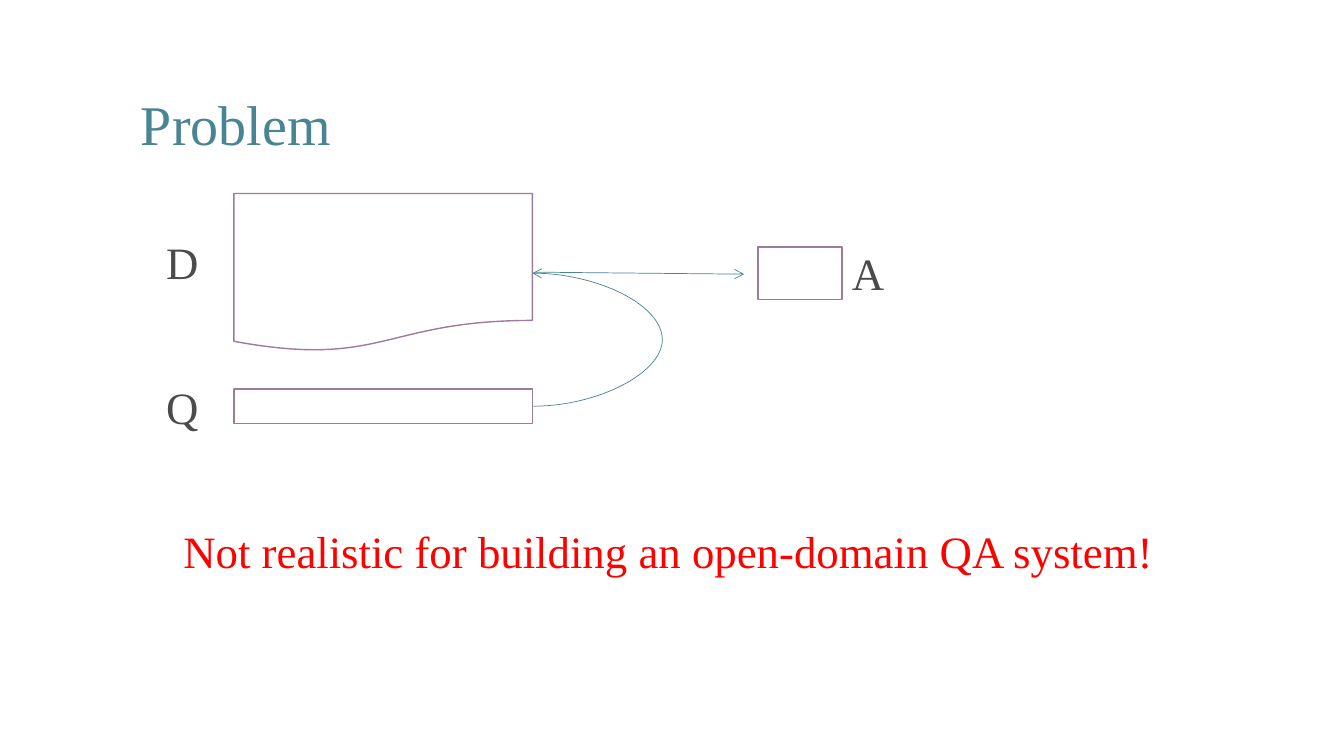
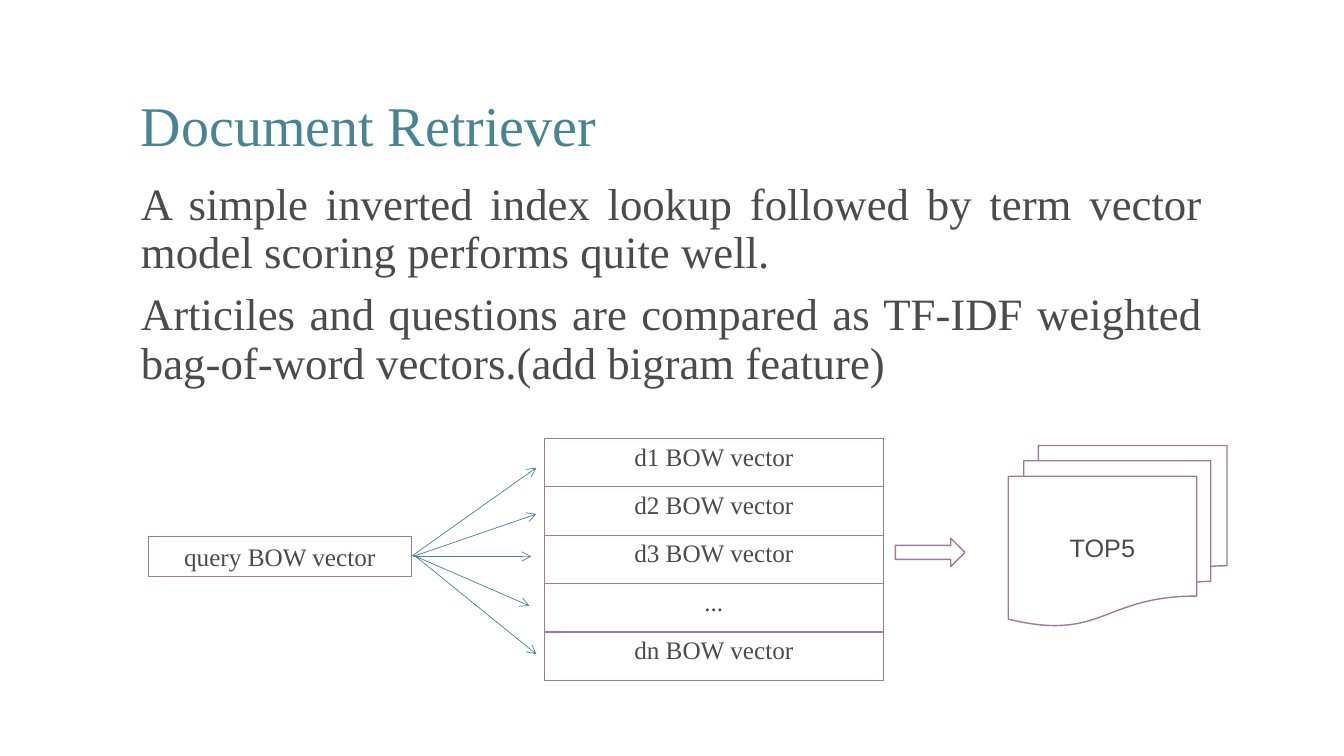
from lxml import etree
from pptx import Presentation
from pptx.dml.color import RGBColor
from pptx.enum.shapes import MSO_CONNECTOR, MSO_SHAPE
from pptx.enum.text import MSO_ANCHOR, PP_ALIGN
from pptx.oxml.ns import qn
from pptx.util import Pt

PX = 9144
TEAL, PURPLE, GREY, RED, WHITE = "488493", "9E7A9B", "4B4B4B", "FF0000", "FFFFFF"
SERIF, SANS = "Times New Roman", "Arial"
LEFT, CENTER, JUSTIFY = PP_ALIGN.LEFT, PP_ALIGN.CENTER, PP_ALIGN.JUSTIFY
TOP, MIDDLE = MSO_ANCHOR.TOP, MSO_ANCHOR.MIDDLE
STRAIGHT, CURVE = MSO_CONNECTOR.STRAIGHT, MSO_CONNECTOR.CURVE
DOCUMENT, DOCUMENTS = MSO_SHAPE.FLOWCHART_DOCUMENT, MSO_SHAPE.FLOWCHART_MULTIDOCUMENT
PROCESS, RECTANGLE, ARROW = MSO_SHAPE.FLOWCHART_PROCESS, MSO_SHAPE.RECTANGLE, MSO_SHAPE.RIGHT_ARROW

TITLE = {"size": 40, "color": TEAL, "anchor": MIDDLE, "line_spacing": 0.9}
BODY = {"size": 32, "alignment": JUSTIFY, "line_spacing": 0.9, "space_before": Pt(10)}
LABEL = {"size": 32}
WARNING = {"size": 32, "color": RED}
CELL = {"size": 18, "alignment": CENTER}
BOX = {"size": 18, "alignment": CENTER, "anchor": MIDDLE}
STACK = {**BOX, "name": SANS}


def color(value):
    return RGBColor.from_string(value)


def write(frame, lines, style):
    frame.word_wrap = True
    frame.vertical_anchor = style.get("anchor", TOP)
    for index, line in enumerate(lines):
        para = frame.add_paragraph() if index else frame.paragraphs[0]
        para.alignment = style.get("alignment", LEFT)
        if "line_spacing" in style:
            para.line_spacing = style["line_spacing"]
        if index and "space_before" in style:
            para.space_before = style["space_before"]
        span = para.add_run()
        span.text = line
        for key, value in {"name": style.get("name", SERIF), "size": Pt(style["size"])}.items():
            setattr(span.font, key, value)
        span.font.color.rgb = color(style.get("color", GREY))


deck = Presentation()
deck.slide_width, deck.slide_height = 1333 * PX, 750 * PX
problem, retriever = [deck.slides.add_slide(deck.slide_layouts[6]) for _ in range(2)]

texts = [
    (problem, (130, 77, 1073, 98), ["Problem"], TITLE),
    (retriever, (130, 78, 1073, 98), ["Document Retriever"], TITLE),
    (problem, (155, 228, 60, 63), ["D"], LABEL),
    (problem, (155, 372, 60, 63), ["Q"], LABEL),
    (problem, (835, 239, 60, 63), ["A"], LABEL),
    (problem, (172, 515, 990, 63), ["Not realistic for building an open-domain QA system!"], WARNING),
    (retriever, (130, 175, 1073, 534), [
        "A simple inverted index lookup followed by term vector model scoring performs quite well.",
        "Articiles and questions are compared as TF-IDF weighted bag-of-word vectors.(add bigram feature)",
    ], BODY),
]
for page, place, lines, style in texts:
    box = page.shapes.add_textbox(*[length * PX for length in place])
    write(box.text_frame, lines, style)

shapes = [
    (problem, DOCUMENT, (232, 192, 296, 157), [], BOX),
    (problem, PROCESS, (232, 386, 296, 34), [], BOX),
    (problem, RECTANGLE, (752, 245, 83, 52), [], BOX),
    (retriever, RECTANGLE, (147, 532, 261, 40), ["query BOW vector"], BOX),
    (retriever, ARROW, (888, 534, 69, 28), [], BOX),
    (retriever, DOCUMENTS, (1000, 442, 217, 179), ["TOP5"], STACK),
]
for page, kind, place, lines, style in shapes:
    shape = page.shapes.add_shape(kind, *[length * PX for length in place])
    shape.shadow.inherit = False
    shape.fill.solid()
    shape.fill.fore_color.rgb = color(WHITE)
    shape.line.color.rgb = color(PURPLE)
    shape.line.width = Pt(1)
    write(shape.text_frame, lines, style)

rows = ["d1 BOW vector", "d2 BOW vector", "d3 BOW vector", "...", "dn BOW vector"]
frame = retriever.shapes.add_table(len(rows), 1, 540 * PX, 435 * PX, 336 * PX, 48 * len(rows) * PX)
table = frame.table
table.first_row = table.horz_banding = False
for index, row in enumerate(rows):
    cell = table.cell(index, 0)
    write(cell.text_frame, [row], CELL)
    properties = cell._tc.get_or_add_tcPr()
    for side in ("a:lnL", "a:lnR", "a:lnT", "a:lnB"):
        border = etree.SubElement(properties, qn(side), w=str(Pt(1)))
        fill = etree.SubElement(border, qn("a:solidFill"))
        etree.SubElement(fill, qn("a:srgbClr"), val=PURPLE)
    cell.fill.solid()
    cell.fill.fore_color.rgb = color(WHITE)

connectors = [
    (problem, CURVE, (529, 403), (528, 271)),
    (problem, STRAIGHT, (531, 270), (738, 272)),
    (retriever, STRAIGHT, (408, 552), (532, 464)),
    (retriever, STRAIGHT, (410, 552), (532, 510)),
    (retriever, STRAIGHT, (410, 552), (527, 552)),
    (retriever, STRAIGHT, (410, 551), (525, 601)),
    (retriever, STRAIGHT, (411, 551), (532, 649)),
]
for page, kind, start, end in connectors:
    line = page.shapes.add_connector(kind, *[length * PX for length in start + end])
    line.line.color.rgb = color(TEAL)
    line.line.width = Pt(0.5)
    properties = line._element.spPr
    etree.SubElement(properties.find(qn("a:ln")), qn("a:tailEnd"), type="arrow")
    etree.SubElement(properties, qn("a:effectLst"))
    if kind == CURVE:
        guides = properties.find(qn("a:prstGeom")).get_or_add_avLst()
        etree.SubElement(guides, qn("a:gd"), name="adj1", fmla="val -13000000")

deck.save("out.pptx")
